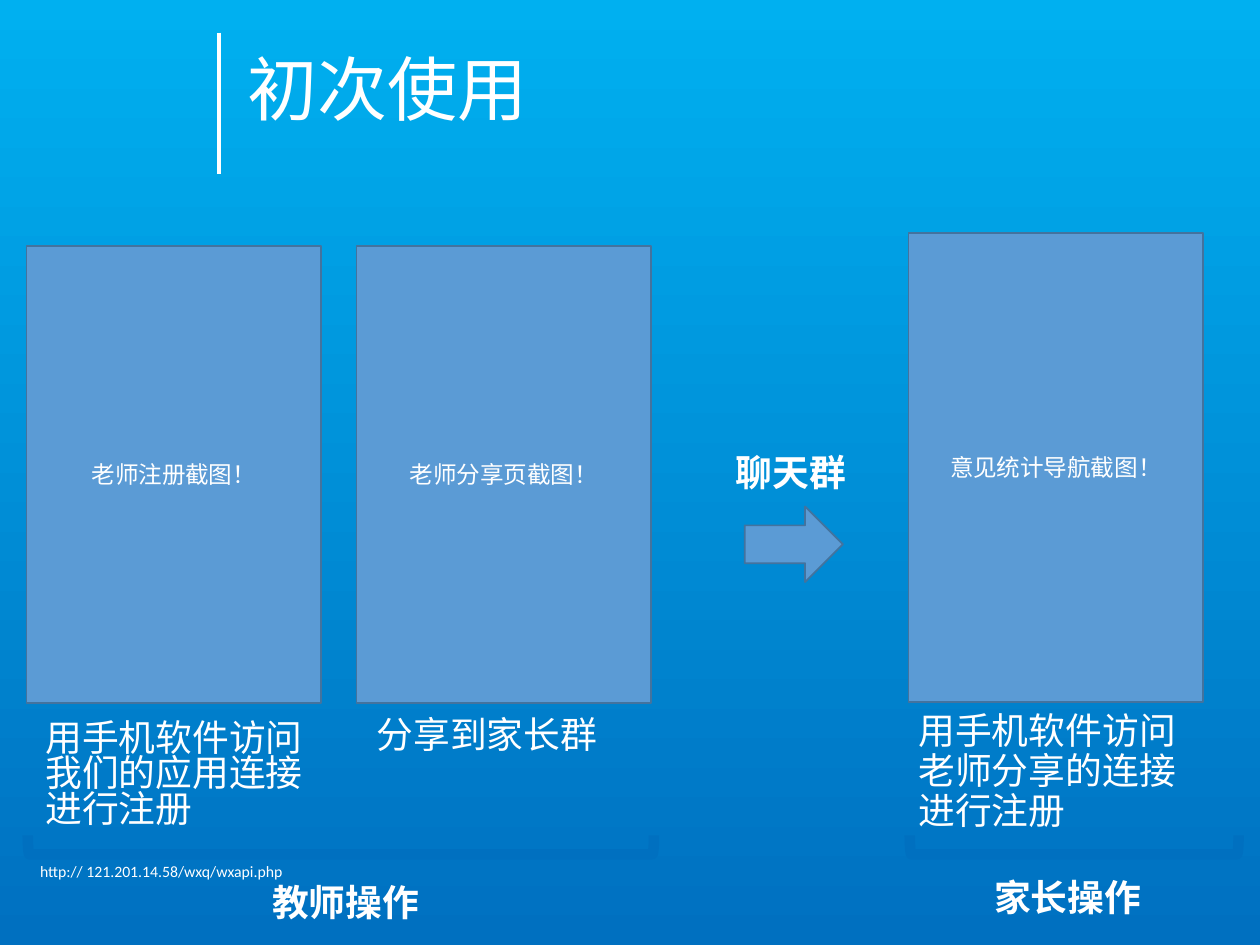
from lxml import etree
from pptx import Presentation, util as u
from pptx.dml.color import RGBColor
from pptx.enum import shapes as sh, text as tx
from pptx.oxml.ns import qn

COLS, ROWS = 100, 75
THEME = dict(
    font="Calibri", white="FFFFFF", top="00B0F0", base="0070C0",
    panel="5B9BD5", edge="43739E",
    head=40, body=21, label=13.5, link=9,
    thin=1, rule=2.25, thick=6,
)
PAD = (0.07, 0.04)

TITLE = ("初次使用", (18.7, 0.1, 74.4, 14.6))
PANELS = [
    ("老师注册截图！", (2.1, 19.5, 23.4, 36.3)),
    ("老师分享页截图！", (28.3, 19.5, 23.4, 36.3)),
    ("意见统计导航截图！", (72.1, 18.5, 23.4, 37.2)),
]
STEPS = [
    ("用手机软件访问我们的应用连接进行注册", (2.9, 57, 24.2, 9.8), 0.8),
    ("分享到家长群", (29.2, 56.5, 21.8, 9.8), 0.9),
    ("用手机软件访问老师分享的连接进行注册", (72.2, 56.2, 22, 8.6), 0.9),
]
HEADS = [
    ("教师操作", (20.9, 69.8, 21.8, 5.2)),
    ("家长操作", (78.2, 69.4, 13.6, 5.6)),
    ("聊天群", (57.7, 35.7, 10.4, 5.6)),
]
LINK = ("http:// 121.201.14.58/wxq/wxapi.php", (2.2, 67.9, 21.4, 2.5))
ARROW = (59.1, 40.2, 7.8, 6)
SPANS = [(26.3, 42.2, 1.5, 49.7), (84.5, 54, 1.5, 26.1)]
RULE = (17.4, 2.6, 13.8)

prs = Presentation()
prs.slide_width, prs.slide_height = u.Inches(10), u.Inches(7.5)
slide = prs.slides.add_slide(prs.slide_layouts[6])


def hue(name):
    return RGBColor.from_string(THEME[name])


def grid(left, top, width, height):
    col, row = prs.slide_width / COLS, prs.slide_height / ROWS
    return [round(n) for n in (left * col, top * row, width * col, height * row)]


def write(words, box=None, on=None, size="body", bold=None, lead=None,
          align=None, anchor=tx.MSO_ANCHOR.TOP, pad=PAD, wrap=True):
    on = on or slide.shapes.add_textbox(*grid(*box))
    frame = on.text_frame
    frame.word_wrap = wrap
    frame.vertical_anchor = anchor
    if not wrap:
        frame.auto_size = tx.MSO_AUTO_SIZE.SHAPE_TO_FIT_TEXT
    frame.margin_left = frame.margin_right = u.Inches(pad[0])
    frame.margin_top = frame.margin_bottom = u.Inches(pad[1])
    para = frame.paragraphs[0]
    para.alignment, para.line_spacing = align, lead
    run = para.add_run()
    run.text = words
    font = run.font
    font.name, font.size, font.bold = THEME["font"], u.Pt(THEME[size]), bold
    font.color.rgb = hue("white")


def draw(kind, box, fill=None, line="edge", width="thin"):
    item = slide.shapes.add_shape(kind, *grid(*box))
    item.shadow.inherit = False
    if fill:
        item.fill.solid()
        item.fill.fore_color.rgb = hue(fill)
    else:
        item.fill.background()
    item.line.color.rgb = hue(line)
    item.line.width = u.Pt(THEME[width])
    return item


back = slide.background.fill
back.gradient()
back.gradient_angle = 270
for stop, name, spot in zip(back.gradient_stops, ("top", "base"), (0, 1)):
    stop.color.rgb = hue(name)
    stop.position = spot

left, top, width, height = grid(RULE[0], RULE[1], 0, RULE[2] - RULE[1])
rule = slide.shapes.add_connector(
    sh.MSO_CONNECTOR.STRAIGHT, left, top, left, top + height)
rule.line.color.rgb = hue("white")
rule.line.width = u.Pt(THEME["rule"])
etree.SubElement(rule._element.spPr, qn("a:effectLst"))

write(*TITLE, size="head", lead=0.9, anchor=tx.MSO_ANCHOR.MIDDLE, pad=(0.1, 0.05))

for words, box in PANELS:
    panel = draw(sh.MSO_SHAPE.RECTANGLE, box, fill="panel")
    write(words, on=panel, size="label", align=tx.PP_ALIGN.CENTER,
          anchor=tx.MSO_ANCHOR.MIDDLE)

for words, box, lead in STEPS:
    write(words, box, lead=lead)

for box in SPANS:
    span = draw(sh.MSO_SHAPE.RIGHT_BRACKET, box, line="base", width="thick")
    span.rotation = 90

for words, box in HEADS:
    write(words, box, bold=True, lead=0.9)

write(*LINK, size="link", pad=(0.1, 0.05), wrap=False)
draw(sh.MSO_SHAPE.RIGHT_ARROW, ARROW, fill="panel")

prs.save("out.pptx")
